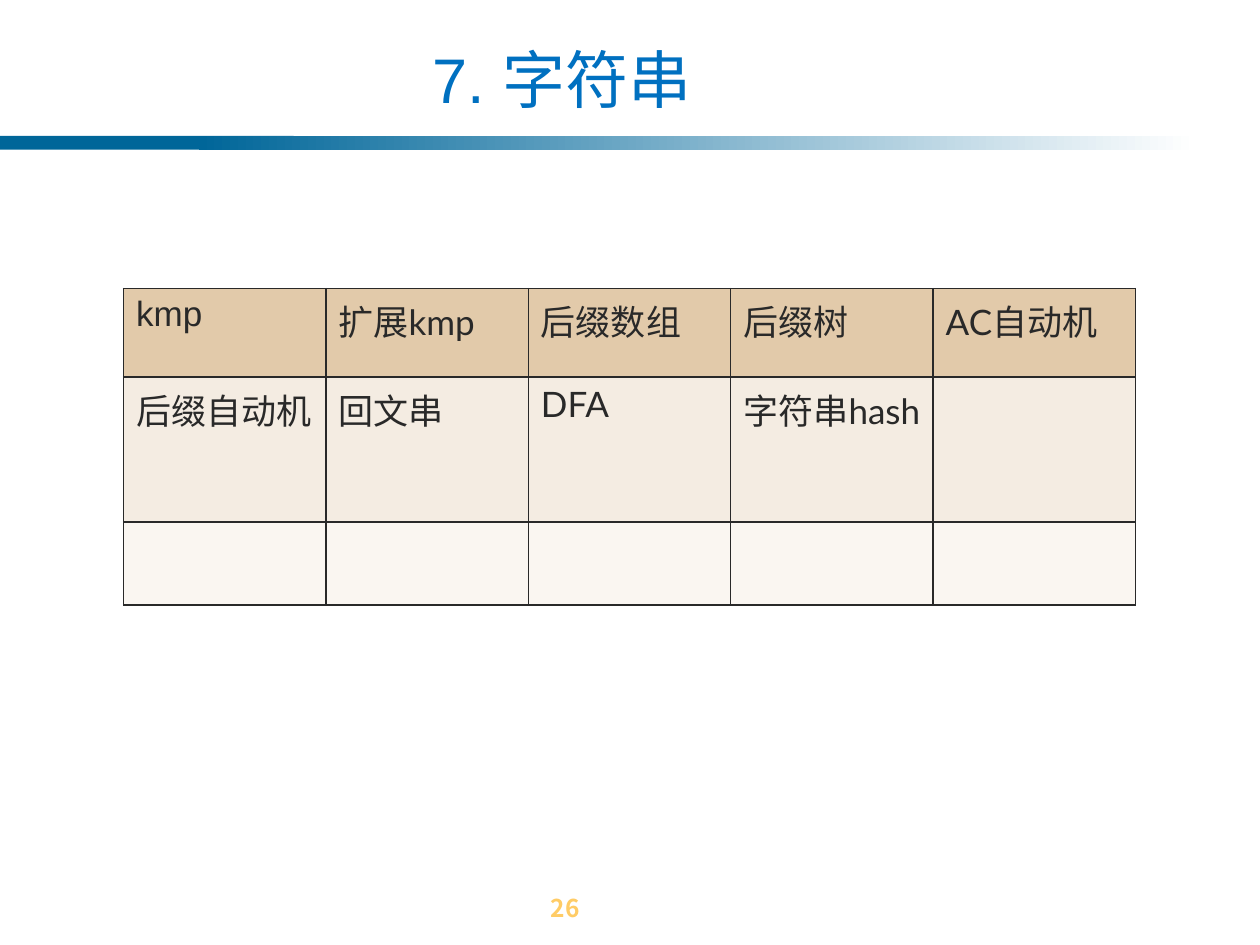
from lxml import etree
from pptx import Presentation
from pptx.dml.color import RGBColor
from pptx.enum.shapes import MSO_SHAPE
from pptx.enum.text import MSO_ANCHOR, PP_ALIGN
from pptx.oxml.ns import qn
from pptx.util import Cm, Pt

RECT = MSO_SHAPE.RECTANGLE
BOTTOM = MSO_ANCHOR.BOTTOM
MIDDLE = MSO_ANCHOR.MIDDLE
CENTER = PP_ALIGN.CENTER

WHITE = RGBColor(0xFF, 0xFF, 0xFF)
TEAL = RGBColor(0x00, 0x66, 0x99)
BLUE = RGBColor(0x00, 0x70, 0xC0)
GOLD = RGBColor(0xFF, 0xCC, 0x66)
INK = RGBColor(0x29, 0x29, 0x29)
TAN = RGBColor(0xE2, 0xCA, 0xAA)
SAND = RGBColor(0xF4, 0xEC, 0xE2)
CREAM = RGBColor(0xFA, 0xF6, 0xF1)

SANS = "Arial"
LATO = "Lato"
NOTO = "Noto Sans CJK SC"

TOPICS = [
    ["kmp", "扩展kmp", "后缀数组", "后缀树", "AC自动机"],
    ["后缀自动机", "回文串", "DFA", "字符串hash", ""],
    ["", "", "", "", ""],
]
FILLS = [TAN, SAND, CREAM]
HEIGHTS = [1.78, 2.92, 1.68]


def style(frame, font, size, color, bold=False):
    for para in frame.paragraphs:
        for run in para.runs:
            run.font.name = font
            run.font.size = Pt(size)
            run.font.color.rgb = color
            run.font.bold = bold
            east = etree.SubElement(run.font._element, qn("a:ea"))
            east.set("typeface", NOTO)


def add_text(slide, box, text):
    frame = slide.shapes.add_textbox(*map(Cm, box)).text_frame
    frame.word_wrap = True
    frame.text = text
    return frame


def add_title(slide, box):
    frame = add_text(slide, box, "7. 字符串")
    frame.vertical_anchor = BOTTOM
    frame.paragraphs[0].alignment = CENTER
    style(frame, SANS, 36, BLUE)


def add_strip(slide, box):
    strip = slide.shapes.add_shape(RECT, *map(Cm, box))
    strip.shadow.inherit = False
    strip.line.fill.background()
    return strip.fill


def add_band(slide, box):
    left, top, width, height = box
    solid = add_strip(slide, (left, top, 5.92, height))
    solid.solid()
    solid.fore_color.rgb = TEAL
    start = 4.01
    fade = add_strip(slide, (left + start, top, width - start, height))
    fade.gradient()
    fade.gradient_angle = 0
    for stop, color in zip(fade.gradient_stops, (TEAL, WHITE)):
        stop.color.rgb = color


def add_edges(cell):
    props = cell._tc.get_or_add_tcPr()
    for side in ("a:lnL", "a:lnR", "a:lnT", "a:lnB"):
        line = etree.SubElement(props, qn(side), w=str(Pt(1)))
        fill = etree.SubElement(line, qn("a:solidFill"))
        etree.SubElement(fill, qn("a:srgbClr"), val=str(INK))


def add_topics(slide, box):
    rows, cols = len(TOPICS), len(TOPICS[0])
    table = slide.shapes.add_table(rows, cols, *map(Cm, box)).table
    for col in table.columns:
        col.width = Cm(box[2] / cols)
    for r, (words, color) in enumerate(zip(TOPICS, FILLS)):
        table.rows[r].height = Cm(HEIGHTS[r])
        for c, word in enumerate(words):
            cell = table.cell(r, c)
            add_edges(cell)
            cell.fill.solid()
            cell.fill.fore_color.rgb = color
            cell.text_frame.text = word
            style(cell.text_frame, SANS if r == c == 0 else LATO, 20, INK)


def add_number(slide, box):
    frame = add_text(slide, box, "26")
    frame.margin_left = Cm(10.69)
    frame.vertical_anchor = MIDDLE
    style(frame, NOTO, 14, GOLD, True)


def main():
    deck = Presentation()
    deck.slide_width = Cm(25.4)
    deck.slide_height = Cm(19.05)
    slide = deck.slides.add_slide(deck.slide_layouts[6])
    add_band(slide, (0, 2.74, 24.13, 0.28))
    add_number(slide, (0.41, 17.88, 24.99, 0.84))
    add_title(slide, (4.65, 0.61, 13.36, 1.85))
    add_topics(slide, (2.49, 5.82, 20.4, sum(HEIGHTS)))
    deck.save("out.pptx")


if __name__ == "__main__":
    main()
